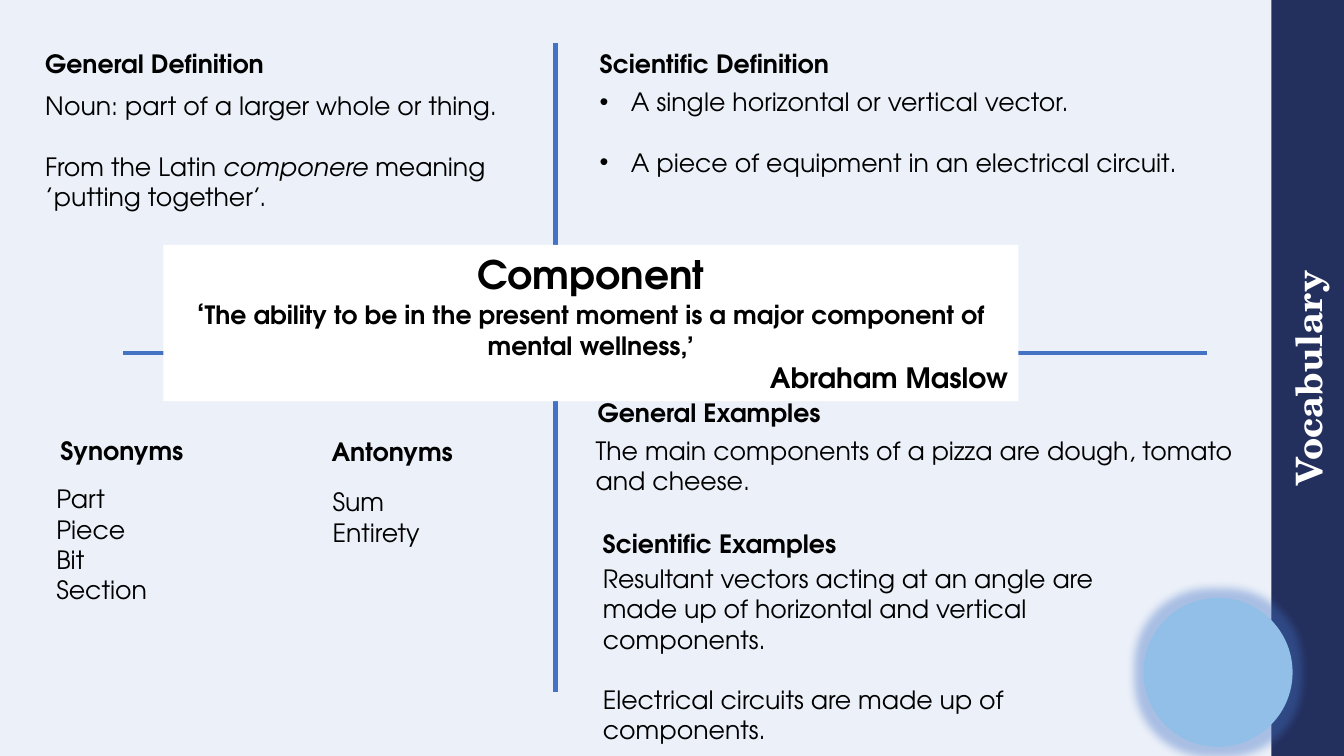
import pptx
import pptx.util
import pptx.dml.color
import pptx.enum.shapes
import pptx.enum.text
import pptx.oxml
import pptx.oxml.ns
from pptx.util import Inches

COLOURS = {
    "ground": "ECF1F9",
    "navy": "232F5D",
    "sky": "92BFE8",
    "blue": "4472C4",
    "white": "FFFFFF",
    "black": "000000",
}
BODY_FONT = "TeX Gyre Adventor"
TITLE_FONT = "TeX Gyre Schola"
SHAPES = pptx.enum.shapes.MSO_SHAPE
ALIGN = pptx.enum.text.PP_ALIGN
NAMESPACE = pptx.oxml.ns.nsdecls("a")
BLANK_LINE = 21.6

HEADINGS = [
    ("General Definition", 0.35, 0.43),
    ("Scientific Definition", 5.85, 0.43),
    ("Synonyms", 0.5, 4.27),
    ("Antonyms", 3.19, 4.28),
    ("General Examples", 5.83, 3.89),
    ("Scientific Examples", 5.88, 5.19),
]


def colour(name):
    return pptx.dml.color.RGBColor.from_string(COLOURS[name])


class VocabularyPage:
    def __init__(self, deck):
        self.page = deck.slides.add_slide(deck.slide_layouts[6])
        self.style = {"name": BODY_FONT, "size": 18, "bold": False, "italic": False, "color": "black"}
        fill = self.page.background.fill
        fill.solid()
        fill.fore_color.rgb = colour("ground")

    def shape(self, kind, place, fill):
        shape = self.page.shapes.add_shape(kind, *map(Inches, place))
        shape.shadow.inherit = False
        shape.fill.solid()
        shape.fill.fore_color.rgb = colour(fill)
        shape.line.fill.background()
        return shape

    def glow(self, shape, radius, name, alpha):
        effects = shape._element.spPr.find(pptx.oxml.ns.qn("a:effectLst"))
        effects.append(pptx.oxml.parse_xml(
            f'<a:glow {NAMESPACE} rad="{Inches(radius)}"><a:srgbClr val="{COLOURS[name]}">'
            f'<a:alpha val="{alpha * 1000}"/></a:srgbClr></a:glow>'))

    def line(self, start, end):
        line = self.page.shapes.add_connector(
            pptx.enum.shapes.MSO_CONNECTOR.STRAIGHT, *map(Inches, start + end))
        line.line.color.rgb = colour("blue")
        line.line.width = pptx.util.Pt(3)
        line._element.spPr.append(pptx.oxml.parse_xml(f"<a:effectLst {NAMESPACE}/>"))

    def span(self, para, text, **changes):
        span = para.add_run()
        span.text = text
        for key, value in {**self.style, **changes}.items():
            if key == "color":
                span.font.color.rgb = colour(value)
            else:
                setattr(span.font, key, pptx.util.Pt(value) if key == "size" else value)

    def fill_text(self, box, paras, align=ALIGN.LEFT, gap=0, bullets=False):
        """Fill a box; each paragraph is a list of (text, style changes)."""
        frame = box.text_frame
        frame.word_wrap = True
        for index, spans in enumerate(paras):
            para = frame.add_paragraph() if index else frame.paragraphs[0]
            para.alignment = align
            if index and gap:
                para.space_before = pptx.util.Pt(gap)
            if bullets:
                properties = para._p.get_or_add_pPr()
                properties.set("marL", str(Inches(0.31)))
                properties.set("indent", str(Inches(-0.31)))
                for tag in ('buFont typeface="Arial"', 'buChar char="•"'):
                    properties.append(pptx.oxml.parse_xml(f"<a:{tag} {NAMESPACE}/>"))
            for text, changes in spans:
                self.span(para, text, **changes)

    def text(self, place, paras, **options):
        """Add a text box; a plain string is a paragraph of one span."""
        box = self.page.shapes.add_textbox(*map(Inches, place))
        box.text_frame.vertical_anchor = pptx.enum.text.MSO_ANCHOR.TOP
        self.fill_text(box, [[(para, {})] if isinstance(para, str) else para for para in paras], **options)

    def side_title(self, text):
        band = self.shape(SHAPES.RECTANGLE, (9.22, 3.39, 7.5, 0.72), "navy")
        band.rotation = 270
        frame = band.text_frame
        frame.vertical_anchor = pptx.enum.text.MSO_ANCHOR.MIDDLE
        for side in ("left", "top", "right", "bottom"):
            setattr(frame, f"margin_{side}", 0)
        self.fill_text(band, [[(text, {"name": TITLE_FONT, "size": 26, "bold": True, "color": "white"})]],
                       align=ALIGN.CENTER)

    def key_word(self):
        box = self.shape(SHAPES.RECTANGLE, (1.62, 2.43, 8.48, 1.55), "white")
        box.text_frame.vertical_anchor = pptx.enum.text.MSO_ANCHOR.TOP
        large, bold = {"size": 20, "bold": True}, {"bold": True}
        quote = "The ability to be in the present moment is a major component of mental wellness,’"
        self.fill_text(box, [
            [("Component", {"size": 28, "bold": True})],
            [("‘", large), (quote, bold)],
            [("Abraham Maslow", large)],
        ], align=ALIGN.CENTER)
        box.text_frame.paragraphs[-1].alignment = ALIGN.RIGHT


def main():
    deck = pptx.Presentation()
    deck.slide_width, deck.slide_height = Inches(13.33), Inches(7.5)
    page = VocabularyPage(deck)

    page.side_title("Vocabulary")
    circle = page.shape(SHAPES.OVAL, (11.34, 5.93, 1.48, 1.48), "sky")
    page.glow(circle, 0.18, "blue", 40)
    page.line((5.51, 0.43), (5.51, 6.87))
    page.line((11.97, 3.5), (1.22, 3.5))
    page.key_word()

    for heading, left, top in HEADINGS:
        width = 2.01 if heading == "Antonyms" else 4.36
        page.text((left, top, width, 0.71), [[(heading, {"bold": True})]])

    page.text((5.81, 4.27, 6.86, 0.71),
              ["The main components of a pizza are dough, tomato and cheese."])
    page.text((0.35, 0.85, 5.07, 1.31), [
        "Noun: part of a larger whole or thing.",
        [("From the Latin ", {}), ("componere ", {"italic": True}), ("meaning ’putting together’.", {})],
    ], gap=BLANK_LINE)
    page.text((5.85, 0.81, 6.43, 1.01), [
        "A single horizontal or vertical vector.",
        "A piece of equipment in an electrical circuit.",
    ], gap=BLANK_LINE, bullets=True)
    page.text((0.46, 4.75, 2.22, 1.31), ["Part", "Piece", "Bit", "Section"])
    page.text((3.2, 4.78, 2.22, 0.71), ["Sum", "Entirety"])
    page.text((5.88, 5.54, 5.79, 1.92), [
        "Resultant vectors acting at an angle are made up of horizontal and vertical components.",
        "Electrical circuits are made up of components.",
    ], gap=BLANK_LINE)

    deck.save("out.pptx")


if __name__ == "__main__":
    main()
